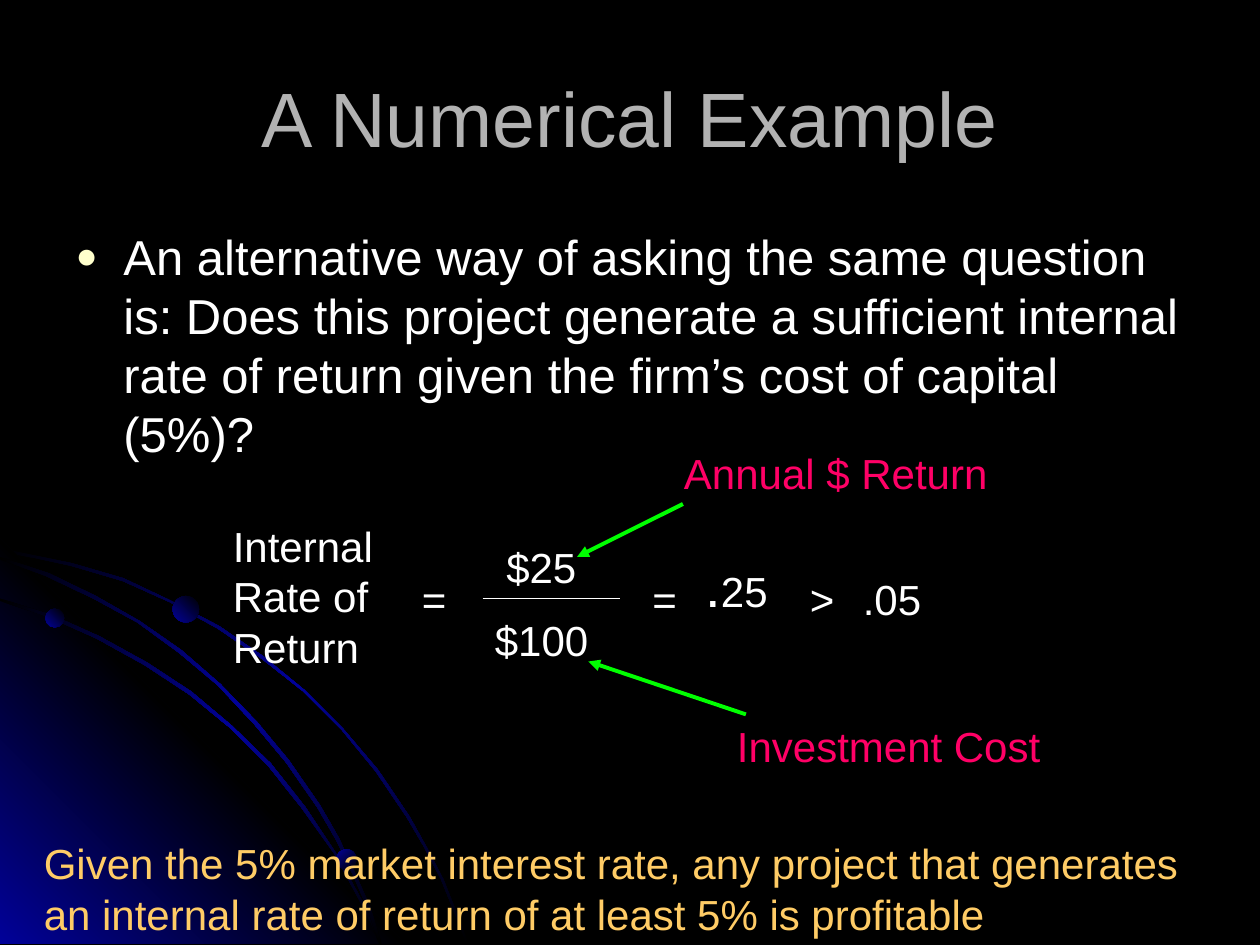
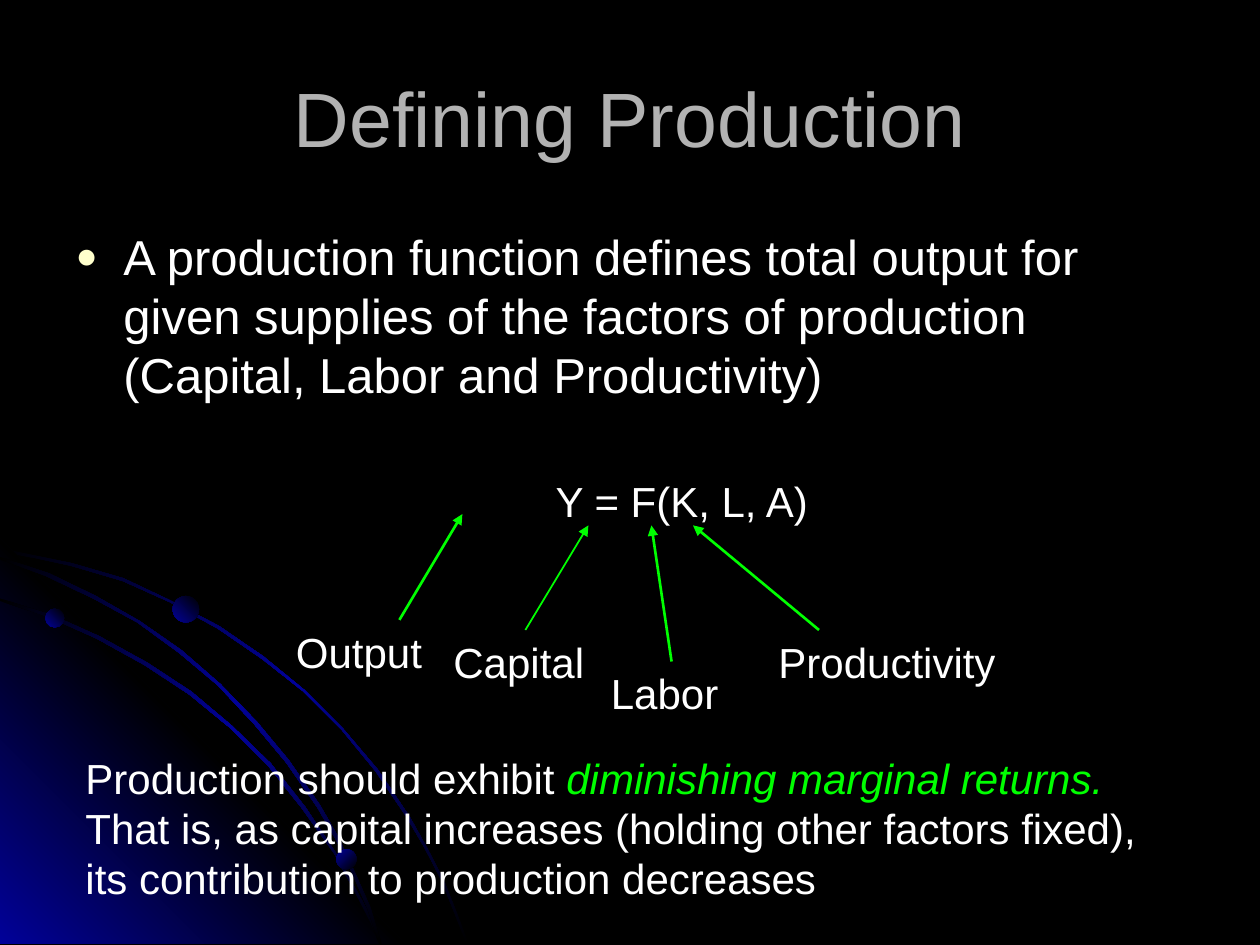
import dataclasses
import typing

import lxml.etree
import pptx
import pptx.dml.color
import pptx.enum.shapes
import pptx.enum.text
import pptx.oxml.ns
import pptx.util

Inches = pptx.util.Inches
Pt = pptx.util.Pt
qn = pptx.oxml.ns.qn


@dataclasses.dataclass(frozen=True)
class Theme:
    font: str = "Arial"
    background: str = "000000"
    glow: str = "010199"
    title: str = "B2B2B2"
    text: str = "FFFFFF"
    bullet: str = "FFFFCC"
    arrow: str = "00FF00"
    callout: str = "FF0066"
    conclusion: str = "FFCC66"
    title_size: int = 44
    body_size: int = 28
    label_size: int = 24
    point_size: int = 32


THEME = Theme()


class Box(typing.NamedTuple):
    left: float
    top: float
    width: float
    height: float


class Run(typing.NamedTuple):
    text: str
    size: int = THEME.label_size
    color: str = THEME.text
    italic: bool = False


class Label(typing.NamedTuple):
    box: Box
    runs: tuple[Run, ...]


class Line(typing.NamedTuple):
    start: tuple[float, float]
    end: tuple[float, float]
    width: float
    color: str = THEME.arrow
    arrow: bool = True


class Band(typing.NamedTuple):
    points: list[tuple[float, float]]
    stops: tuple[str, ...]
    angle: int


class Dot(typing.NamedTuple):
    left: float
    top: float
    size: float
    angle: int


TITLE_BOX = Box(0.5, 0.3, 9, 1.25)
BODY_BOX = Box(0.5, 1.75, 9, 4.95)

# Backdrop: a glowing corner, three orbits and their planets
ORBIT_STOPS = (THEME.background, THEME.glow, THEME.background)
CORNER_STOPS = (THEME.glow, THEME.background, THEME.glow)
BANDS = [
    Band([(0.57, 4.47), (0.28, 4.41), (0, 4.35), (0, 4.38), (0.28, 4.43), (0.56, 4.49),
          (0.97, 4.61), (1.35, 4.78), (1.73, 4.99), (2.08, 5.23), (2.41, 5.49),
          (2.71, 5.79), (2.98, 6.12), (3.23, 6.49), (3.37, 6.73), (3.5, 6.98),
          (3.6, 7.23), (3.7, 7.49), (3.72, 7.49), (3.62, 7.23), (3.52, 6.98),
          (3.39, 6.73), (3.25, 6.48), (3, 6.11), (2.72, 5.78), (2.42, 5.48),
          (2.09, 5.21), (1.74, 4.97), (1.36, 4.77), (0.98, 4.59)], ORBIT_STOPS, 225),
    Band([(3.22, 7.49), (0, 7.49), (0, 4.27)], CORNER_STOPS, 135),
    Band([(2.85, 7.14), (2.94, 7.32), (3.01, 7.49), (3.03, 7.49), (2.96, 7.3),
          (2.86, 7.12), (2.66, 6.76), (2.42, 6.4), (2.15, 6.06), (1.84, 5.76),
          (1.52, 5.49), (1.17, 5.26), (0.79, 5.05), (0.41, 4.88), (0, 4.75), (0, 4.77),
          (0.39, 4.9), (0.77, 5.07), (1.15, 5.28), (1.5, 5.51), (1.83, 5.78),
          (2.13, 6.08), (2.4, 6.42), (2.65, 6.77)], ORBIT_STOPS, 225),
    Band([(0, 4.42), (0, 4.44), (0.36, 4.57), (0.74, 4.75), (1.09, 4.94), (1.42, 5.18),
          (1.73, 5.44), (2.02, 5.75), (2.27, 6.05), (2.52, 6.41), (2.67, 6.67),
          (2.8, 6.94), (2.92, 7.22), (3.01, 7.49), (3.03, 7.49), (2.94, 7.2),
          (2.82, 6.93), (2.69, 6.65), (2.54, 6.39), (2.29, 6.03), (2.04, 5.73),
          (1.75, 5.43), (1.44, 5.16), (1.11, 4.93), (0.76, 4.73), (0.39, 4.55)],
         ORBIT_STOPS, 225),
]
DOTS = [Dot(0.36, 4.83, 0.15, 135), Dot(2.67, 6.74, 0.16, 225), Dot(1.37, 4.73, 0.21, 135)]


def rgb(color: str) -> pptx.dml.color.RGBColor:
    return pptx.dml.color.RGBColor.from_string(color)


def place(shape, box: Box) -> None:
    shape.left, shape.top, shape.width, shape.height = map(Inches, box)


def add_run(paragraph, text: str, *, size: int, color: str, italic: bool = False) -> None:
    run = paragraph.add_run()
    run.text = text
    run.font.name = THEME.font
    run.font.size = Pt(size)
    run.font.italic = italic
    run.font.color.rgb = rgb(color)


def set_gradient(shape, stops: tuple[str, ...], angle: int) -> None:
    """Fill with evenly spaced stops; the angle turns clockwise."""
    shape.shadow.inherit = False
    shape.line.fill.background()
    shape.fill.gradient()
    shape.fill.gradient_angle = 360 - angle
    stop_list = shape.element.spPr.find(qn("a:gradFill")).find(qn("a:gsLst"))
    for stop in list(stop_list):
        stop_list.remove(stop)
    for index, color in enumerate(stops):
        position = 100000 * index // (len(stops) - 1)
        stop = lxml.etree.SubElement(stop_list, qn("a:gs"), pos=str(position))
        lxml.etree.SubElement(stop, qn("a:srgbClr"), val=color)


def build_master(presentation, slide) -> None:
    """Draw the backdrop as a group on the slide, then hand it to the master."""
    master = presentation.slide_master
    master.background.fill.solid()
    master.background.fill.fore_color.rgb = rgb(THEME.background)
    for placeholder, box in zip(master.placeholders, (TITLE_BOX, BODY_BOX)):
        place(placeholder, box)

    group = slide.shapes.add_group_shape()
    for band in BANDS:
        points = [(Inches(x), Inches(y)) for x, y in band.points]
        builder = group.shapes.build_freeform(*points[0])
        builder.add_line_segments(points[1:], close=True)
        set_gradient(builder.convert_to_shape(), band.stops, band.angle)
    for dot in DOTS:
        planet = group.shapes.add_shape(
            pptx.enum.shapes.MSO_SHAPE.OVAL,
            *map(Inches, (dot.left, dot.top, dot.size, dot.size)))
        set_gradient(planet, (THEME.background, THEME.glow), dot.angle)
    for number, properties in enumerate(group.element.iter(qn("p:cNvPr")), start=101):
        properties.set("id", str(number))
    master.shapes.element.insert(2, group.element)


def set_bullet(paragraph, indent: float, bullet: bool) -> None:
    properties = paragraph._p.get_or_add_pPr()
    properties.set("marL", str(Inches(indent)))
    properties.set("indent", str(Inches(-0.38 if bullet else 0)))
    if not bullet:
        lxml.etree.SubElement(properties, qn("a:buNone"))
        return
    color = lxml.etree.SubElement(properties, qn("a:buClr"))
    lxml.etree.SubElement(color, qn("a:srgbClr"), val=THEME.bullet)
    lxml.etree.SubElement(properties, qn("a:buSzPct"), val="75000")
    lxml.etree.SubElement(properties, qn("a:buFont"), typeface=THEME.font)
    lxml.etree.SubElement(properties, qn("a:buChar"), char="●")


def fill_placeholders(slide, title: str, point: str, equation: str = "") -> None:
    heading = slide.shapes.title.text_frame
    heading.vertical_anchor = pptx.enum.text.MSO_ANCHOR.MIDDLE
    heading.paragraphs[0].alignment = pptx.enum.text.PP_ALIGN.CENTER
    add_run(heading.paragraphs[0], title, size=THEME.title_size, color=THEME.title)

    body = slide.placeholders[1].text_frame
    body.auto_size = pptx.enum.text.MSO_AUTO_SIZE.NONE
    paragraph = body.paragraphs[0]
    paragraph.space_before = Pt(7)
    set_bullet(paragraph, 0.38, bullet=True)
    add_run(paragraph, point, size=THEME.body_size, color=THEME.text)
    if equation:
        paragraph = body.add_paragraph()
        paragraph.level = 1
        paragraph.space_before = Pt(41)
        set_bullet(paragraph, 3.81, bullet=False)
        add_run(paragraph, equation, size=THEME.label_size, color=THEME.text)


def add_label(slide, label: Label) -> None:
    frame = slide.shapes.add_textbox(*map(Inches, label.box)).text_frame
    frame.word_wrap = True
    for run in label.runs:
        add_run(frame.paragraphs[0], run.text,
                size=run.size, color=run.color, italic=run.italic)


def add_line(slide, line: Line) -> None:
    connector = slide.shapes.add_connector(
        pptx.enum.shapes.MSO_CONNECTOR.STRAIGHT, *map(Inches, line.start + line.end))
    connector.line.width = Pt(line.width)
    connector.line.color.rgb = rgb(line.color)
    if line.arrow:
        lxml.etree.SubElement(connector.line._get_or_add_ln(), qn("a:tailEnd"),
                              type="triangle")
    lxml.etree.SubElement(connector.element.spPr, qn("a:effectLst"))


def add_diagram(slide, lines: list[Line], labels: list[Label]) -> None:
    for line in lines:
        add_line(slide, line)
    for label in labels:
        add_label(slide, label)


def build_numerical_example(slide) -> None:
    fill_placeholders(
        slide, "A Numerical Example",
        "An alternative way of asking the same question is: Does this project generate a "
        "sufficient internal rate of return given the firm’s cost of capital (5%)?")
    lines = [
        Line((3.83, 4.75), (4.92, 4.75), 0.75, THEME.text, arrow=False),
        Line((5.42, 4), (4.58, 4.42), 2.25),
        Line((5.92, 5.67), (4.67, 5.25), 2.25),
    ]
    labels = [
        Label(Box(1.75, 4.08, 1.67, 1.3), (Run("Internal Rate of Return"),)),
        Label(Box(3.25, 4.5, 0.5, 0.5), (Run("="),)),
        Label(Box(3.92, 4.25, 0.83, 0.5), (Run("$25"),)),
        Label(Box(3.83, 4.83, 1, 0.5), (Run("$100"),)),
        Label(Box(5.08, 4.5, 0.5, 0.5), (Run("="),)),
        Label(Box(5.5, 4.33, 0.75, 0.64), (Run(".", THEME.point_size), Run("25"))),
        Label(Box(6.33, 4.5, 0.5, 0.5), (Run(">"),)),
        Label(Box(6.75, 4.5, 1, 0.5), (Run(".05"),)),
        Label(Box(5.33, 3.5, 2.75, 0.5), (Run("Annual $ Return", color=THEME.callout),)),
        Label(Box(5.75, 5.67, 2.75, 0.5), (Run("Investment Cost", color=THEME.callout),)),
        Label(Box(0.25, 6.6, 9.5, 0.9), (
            Run("Given the 5% market interest rate, any project that generates an internal "
                "rate of return of at least 5% is profitable", color=THEME.conclusion),)),
    ]
    add_diagram(slide, lines, labels)


def build_defining_production(slide) -> None:
    fill_placeholders(
        slide, "Defining Production",
        "A production function defines total output for given supplies of the factors of "
        "production (Capital, Labor and Productivity)",
        equation="Y = F(K, L, A)")
    lines = [
        Line((3.17, 4.92), (3.67, 4.08), 1.5),
        Line((4.17, 5), (4.67, 4.17), 1),
        Line((5.33, 5.25), (5.17, 4.17), 1.5),
        Line((6.5, 5), (5.5, 4.17), 1.5),
    ]
    labels = [
        Label(Box(2.25, 4.92, 1.25, 0.5), (Run("Output"),)),
        Label(Box(3.5, 5, 1.25, 0.5), (Run("Capital"),)),
        Label(Box(4.75, 5.25, 1.25, 0.5), (Run("Labor"),)),
        Label(Box(6.08, 5, 2.08, 0.5), (Run("Productivity"),)),
        Label(Box(0.58, 5.92, 8.83, 1.3), (
            Run("Production should exhibit "),
            Run("diminishing marginal returns. ", color=THEME.arrow, italic=True),
            Run("That is, as capital increases (holding other factors fixed), "
                "its contribution to production decreases"))),
    ]
    add_diagram(slide, lines, labels)


def main() -> None:
    presentation = pptx.Presentation()
    presentation.slide_width, presentation.slide_height = Inches(10), Inches(7.5)
    layout = presentation.slide_layouts.get_by_name("Title and Content")
    slides = [presentation.slides.add_slide(layout) for _ in range(2)]
    build_master(presentation, slides[0])
    build_numerical_example(slides[0])
    build_defining_production(slides[1])
    presentation.save("out.pptx")


if __name__ == "__main__":
    main()
